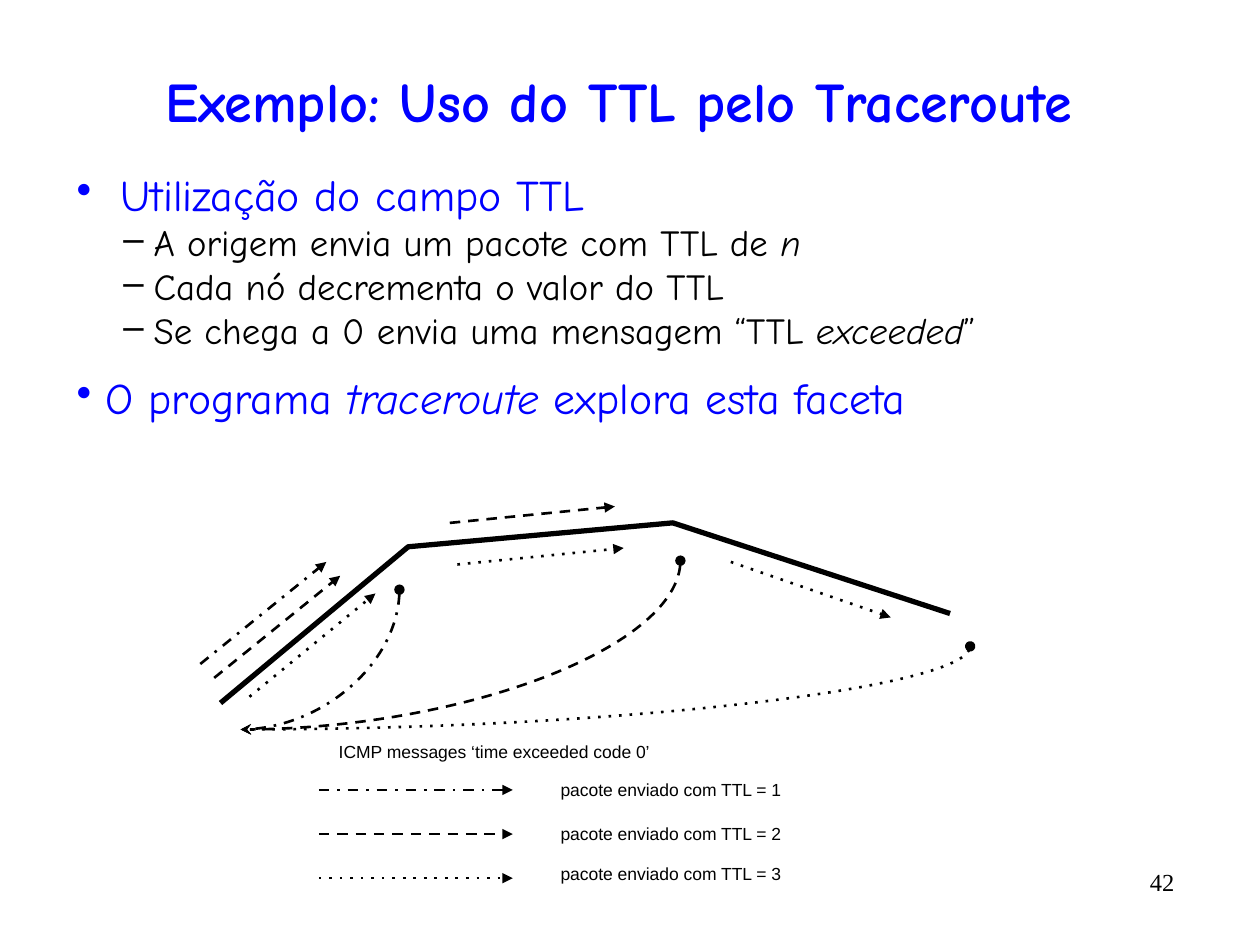
"""Build the slide on how traceroute uses the TTL field."""
from lxml.etree import SubElement
from pptx import Presentation
from pptx.dml.color import RGBColor
from pptx.enum.shapes import MSO_CONNECTOR as CONN
from pptx.enum.text import MSO_ANCHOR as ANCHOR, PP_ALIGN as ALIGN
from pptx.oxml.ns import qn
from pptx.util import Inches, Pt

BLUE = RGBColor(0, 0, 255)
BLACK = RGBColor(0, 0, 0)
BODY_FONT = "Comic Neue"

TITLE = "Exemplo: Uso do TTL pelo Traceroute"
TOP = dict(char="•", size=25, color=BLUE, level=0)
SUB = dict(char="–", size=21, color=BLACK, level=1, margin=0.62, hang=0.24, before=2.4)
BODY = [
    (dict(TOP, margin=0.36, hang=0.35, before=0), [("Utilização do campo TTL", False)]),
    (SUB, [("A origem envia um pacote com TTL de ", False), ("n", True)]),
    (SUB, [("Cada nó decrementa o valor do TTL", False)]),
    (SUB, [("Se chega a 0 envia uma mensagem “TTL ", False), ("exceeded", True), ("”", False)]),
    (dict(TOP, margin=0.24, hang=0.23, before=14),
     [("O programa ", False), ("traceroute", True), (" explora esta faceta", False)]),
]

ROUTE = [(1.75, 5.58), (3.24, 4.34), (5.34, 4.15), (7.54, 4.87)]
ORIGIN = (1.91, 5.79)
REPLIES = [("dash", 5.4, 4.45), ("dashDot", 3.17, 4.68), ("dot", 7.7, 5.13)]
PACKETS = [
    ("dash", 1.7, 5.38, 2.7, 4.57),
    ("dash", 3.57, 4.15, 4.88, 4.02),
    ("dot", 5.8, 4.46, 7.07, 4.9),
    ("dot", 1.98, 5.53, 2.98, 4.71),
    ("dashDot", 1.59, 5.27, 2.59, 4.46),
    ("dot", 3.63, 4.48, 4.95, 4.35),
]
LEGEND = [
    ("dashDot", 6.27, 6.09, "pacote enviado com TTL = 1"),
    ("dash", 6.62, 6.44, "pacote enviado com TTL = 2"),
    ("dot", 6.97, 6.76, "pacote enviado com TTL = 3"),
]
CAPTION = "ICMP messages ‘time exceeded code 0’"


def style(font, name, size, color):
    font.name, font.size = name, Pt(size)
    font.color.rgb = color


def add_connector(slide, kind, x1, y1, x2, y2, dash, tail, head=None):
    line = slide.shapes.add_connector(kind, *map(Inches, (x1, y1, x2, y2)))
    line.line.color.rgb = BLACK
    line.line.width = Pt(1.5)
    ln = line.line._ln
    SubElement(ln, qn("a:prstDash"), val=dash)
    if head:
        SubElement(ln, qn("a:headEnd"), type=head)
    SubElement(ln, qn("a:tailEnd"), type=tail)
    SubElement(line._element.spPr, qn("a:effectLst"))
    return line


def add_reply(slide, dash, x, y):
    end_x, end_y = ORIGIN
    across, down = x - end_x, end_y - y
    mid_x, mid_y = (x + end_x) / 2, (y + end_y) / 2
    curve = add_connector(slide, CONN.CURVE, mid_x - down / 2, mid_y - across / 2,
                          mid_x + down / 2, mid_y + across / 2, dash, "stealth", "oval")
    sp_pr = curve._element.spPr
    sp_pr.find(qn("a:xfrm")).set("rot", str(90 * 60000))
    sp_pr.find(qn("a:prstGeom")).set("prst", "curvedConnector2")


def add_text(slide, x, y, w, h, text, font, size, align=ALIGN.LEFT, anchor=ANCHOR.MIDDLE):
    tf = slide.shapes.add_textbox(*map(Inches, (x, y, w, h))).text_frame
    tf.word_wrap = True
    tf.vertical_anchor = anchor
    tf.text = text
    p = tf.paragraphs[0]
    p.alignment = align
    style(p.runs[0].font, font, size, BLACK)


def add_body(slide):
    tf = slide.shapes.add_textbox(*map(Inches, (0.5, 1.33, 9.25, 2.43))).text_frame
    tf.word_wrap = True
    for i, (look, parts) in enumerate(BODY):
        p = tf.add_paragraph() if i else tf.paragraphs[0]
        p.level = look["level"]
        p.line_spacing = 0.9
        p.space_before = Pt(look["before"])
        p_pr = p._p.get_or_add_pPr()
        p_pr.set("marL", str(Inches(look["margin"])))
        p_pr.set("indent", str(-Inches(look["hang"])))
        bullet_color = SubElement(p_pr, qn("a:buClr"))
        SubElement(bullet_color, qn("a:srgbClr"), val=str(look["color"]))
        SubElement(p_pr, qn("a:buChar"), char=look["char"])
        for text, italic in parts:
            r = p.add_run()
            r.text = text
            style(r.font, BODY_FONT, look["size"], look["color"])
            r.font.italic = italic


def add_route(slide):
    points = [(Inches(x), Inches(y)) for x, y in ROUTE]
    builder = slide.shapes.build_freeform(*points[0])
    builder.add_line_segments(points[1:], close=False)
    sp = builder.convert_to_shape()
    sp.fill.background()
    sp.line.color.rgb = BLACK
    sp.line.width = Pt(3)
    sp.shadow.inherit = False


def main():
    prs = Presentation()
    prs.slide_width, prs.slide_height = Inches(10), Inches(7.5)
    s = prs.slides.add_slide(prs.slide_layouts[5])

    title = s.shapes.title
    title.left, title.top, title.width, title.height = map(Inches, (0.33, 0.42, 9.17, 0.75))
    tf = title.text_frame
    tf.text = TITLE
    tf.vertical_anchor = ANCHOR.MIDDLE
    p = tf.paragraphs[0]
    p.alignment = ALIGN.CENTER
    style(p.runs[0].font, BODY_FONT, 32, BLUE)
    p.runs[0].font.bold = True

    add_text(s, 8.42, 6.83, 1, 0.42, "42", "Times New Roman", 14, ALIGN.RIGHT, ANCHOR.TOP)
    add_body(s)
    add_route(s)
    for reply in REPLIES:
        add_reply(s, *reply)
    for dash, *ends in PACKETS:
        add_connector(s, CONN.STRAIGHT, *ends, dash, "triangle")
    for dash, y, text_y, label in LEGEND:
        add_connector(s, CONN.STRAIGHT, 2.53, y, 4.07, y, dash, "triangle")
        add_text(s, 4.35, text_y, 2.15, 0.35, label, "Arial", 10)
    add_text(s, 2.59, 5.79, 3, 0.35, CAPTION, "Arial", 10)
    prs.save("out.pptx")


if __name__ == "__main__":
    main()
